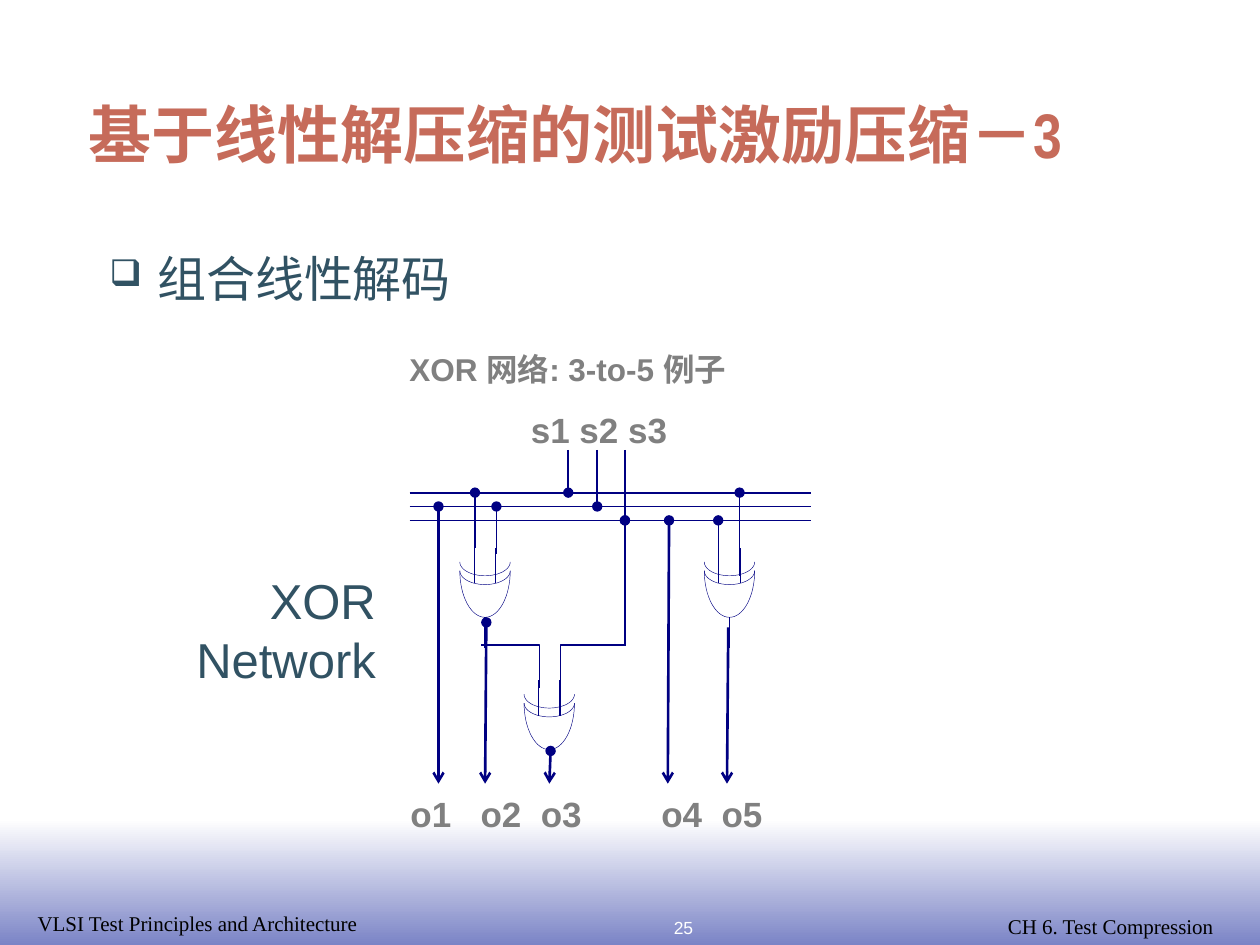
import math
from dataclasses import dataclass

from lxml import etree
from pptx import Presentation
from pptx import util as u
from pptx.dml.color import RGBColor
from pptx.enum import shapes, text
from pptx.oxml import ns

NAVY = RGBColor(0x00, 0x00, 0x82)
BRICK = RGBColor(0xC6, 0x6B, 0x5A)
TEAL = RGBColor(0x31, 0x52, 0x63)
GRAY = RGBColor(0x80, 0x80, 0x80)
BLACK = RGBColor(0x00, 0x00, 0x00)
WHITE = RGBColor(0xFF, 0xFF, 0xFF)
PERIWINKLE = RGBColor(0x7B, 0x84, 0xC6)

COLUMNS, ROWS = 100, 75
CELL = u.Inches(10) // COLUMNS
LEFT, CENTER, RIGHT = text.PP_ALIGN.LEFT, text.PP_ALIGN.CENTER, text.PP_ALIGN.RIGHT


def cells(count):
    return u.Emu(round(count * CELL))


@dataclass
class Box:
    col: float
    row: float
    cols: float
    rows: float

    def frame(self):
        return [cells(n) for n in (self.col, self.row, self.cols, self.rows)]

    def point(self, col, row):
        return cells(self.col + col), cells(self.row + row)

    def area(self, col, row, cols, rows):
        return Box(self.col + col, self.row + row, cols, rows)


def add_run(paragraph, words, size, color, font="Arial", bold=False):
    run = paragraph.add_run()
    run.text = words
    run.font.size = u.Pt(size)
    run.font.name = font
    run.font.bold = bold
    run.font.color.rgb = color


def add_label(slide, box, words, size, color, font="Arial", bold=False, align=LEFT, wrap=True):
    frame = slide.shapes.add_textbox(*box.frame()).text_frame
    frame.word_wrap = wrap
    paragraph = frame.paragraphs[0]
    paragraph.alignment = align
    add_run(paragraph, words, size, color, font, bold)
    return paragraph


def add_wire(diagram, start, end, width, head=None, tail=None):
    wire = diagram.shapes.add_connector(shapes.MSO_CONNECTOR.STRAIGHT, *start, *end)
    wire.line.color.rgb = NAVY
    wire.line.width = u.Pt(width)
    outline = wire.line._get_or_add_ln()
    for tag, kind in (("a:headEnd", head), ("a:tailEnd", tail)):
        if kind:
            etree.SubElement(outline, ns.qn(tag), type=kind)
    etree.SubElement(wire._element.spPr, ns.qn("a:effectLst"))


def add_trace(diagram, points, width):
    builder = diagram.shapes.build_freeform(*points[0], scale=1.0)
    builder.add_line_segments(points[1:], close=False)
    trace = builder.convert_to_shape()
    trace.fill.background()
    trace.line.color.rgb = NAVY
    trace.line.width = u.Pt(width)
    trace.shadow.inherit = False


def draw_footer(slide, box):
    band = slide.shapes.add_shape(shapes.MSO_SHAPE.RECTANGLE, *box.frame())
    band.shadow.inherit = False
    band.line.fill.background()
    band.fill.gradient()
    band.fill.gradient_angle = 270
    for stop, position, color in zip(band.fill.gradient_stops, (0, 1), (WHITE, PERIWINKLE)):
        stop.position = position
        stop.color.rgb = color
    serif = "Times New Roman"
    add_label(slide, box.area(2, 6.8, 27.6, 3), "VLSI Test Principles and Architecture",
              12, BLACK, serif, wrap=False)
    add_label(slide, box.area(42.6, 7.3, 23.3, 2.7), "25", 10, WHITE, align=CENTER)
    add_label(slide, box.area(78.9, 7, 18.5, 3), "CH 6. Test Compression",
              12, BLACK, serif, align=CENTER, wrap=False)


def draw_title(slide, box):
    title = slide.shapes.title
    title.left, title.top, title.width, title.height = box.frame()
    frame = title.text_frame
    frame.auto_size = text.MSO_AUTO_SIZE.NONE
    frame.vertical_anchor = text.MSO_ANCHOR.BOTTOM
    frame.paragraphs[0].alignment = LEFT
    add_run(frame.paragraphs[0], "基于线性解压缩的测试激励压缩－3", 36, BRICK, "Arial Narrow", True)


def draw_topic(slide, box):
    topic = add_label(slide, box, "组合线性解码", 28, TEAL)
    properties = topic._p.get_or_add_pPr()
    indent = cells(3.8)
    properties.set("marL", str(indent))
    properties.set("indent", str(-indent))
    bullet_color = etree.SubElement(properties, ns.qn("a:buClr"))
    etree.SubElement(bullet_color, ns.qn("a:srgbClr"), val=str(TEAL))
    etree.SubElement(properties, ns.qn("a:buSzPct"), val="75000")
    etree.SubElement(properties, ns.qn("a:buChar"), char="❑")


def draw_gate(diagram, box):
    middle = box.cols / 2
    angles = [math.pi * step / 32 for step in range(33)]
    for top, depth in ((0, 1.1), (0.7, 1.1), (0.7, 3.7)):
        add_trace(diagram, [box.point(middle - middle * math.cos(angle), top + depth * math.sin(angle))
                            for angle in angles], 0.25)
    for side in (-0.85, 0.85):
        add_wire(diagram, box.point(middle + side, -1.1), box.point(middle + side, 1.7), 0.75)
    add_wire(diagram, box.point(middle, box.rows), box.point(middle, box.rows + 2.4), 0.75)


def draw_network(slide, box):
    diagram = slide.shapes.add_group_shape()
    buses = [3.4 + 1.1 * index for index in range(3)]
    for bus in buses:
        add_wire(diagram, box.point(0, bus), box.point(box.cols, bus), 1)
    for col, bus in zip((12.6, 14.9, 17.1), buses):
        add_wire(diagram, box.point(col, 0), box.point(col, bus), 1, tail="oval")

    for col, row in ((4, 8.9), (23.4, 8.9), (9.1, 19.4)):
        draw_gate(diagram, box.area(col, row, 4, 4.4))
    for start, end in ((5.7, 10.3), (17.1, 12)):
        add_trace(diagram, [box.point(start, 15.5), box.point(end, 15.5), box.point(end, 18.9)], 0.75)

    taps = ((5.2, 0, 7.8), (6.9, 1, 8.3), (17.1, 2, 15.6), (24.5, 2, 9.4), (26.2, 0, 10))
    for col, bus, bottom in taps:
        add_wire(diagram, box.point(col, buses[bus]), box.point(col, bottom), 0.75, head="oval")

    outputs = ((2.3, buses[1], 2.3, "oval"), (6.1, 13.7, 6, "oval"), (11.2, 23.9, 11.1, "oval"),
               (20.6, buses[2], 20.5, "oval"), (25.3, 14.1, 25.2, None))
    for col, top, tip, head in outputs:
        add_wire(diagram, box.point(col, top), box.point(tip, box.rows), 1.5, head, "arrow")


def draw_labels(slide, box):
    add_label(slide, box.area(-1, -8.4, 28.9, 4), "XOR 网络: 3-to-5 例子", 18, GRAY, bold=True, wrap=False)
    add_label(slide, box.area(6.2, -3.8, 17.7, 4.4), "s1 s2 s3", 20, GRAY, bold=True, align=CENTER)
    add_label(slide, box.area(-0.9, 26.7, 19.7, 4.4), "o1   o2  o3", 20, GRAY, bold=True)
    add_label(slide, box.area(19, 26.7, 15.4, 4.4), "o4  o5", 20, GRAY, bold=True)
    add_label(slide, box.area(-21.6, 9.1, 19.9, 10.4), "XOR Network", 28, TEAL, align=RIGHT)


def main():
    deck = Presentation()
    deck.slide_width, deck.slide_height = cells(COLUMNS), cells(ROWS)
    slide = deck.slides.add_slide(deck.slide_layouts[5])
    draw_footer(slide, Box(0, 65, COLUMNS, 10))
    draw_title(slide, Box(6, 1.6, 89.4, 12.5))
    draw_topic(slide, Box(7.7, 19.2, 85, 7))
    network = Box(32.5, 35.7, 31.9, 26.5)
    draw_network(slide, network)
    draw_labels(slide, network)
    deck.save("out.pptx")


if __name__ == "__main__":
    main()
